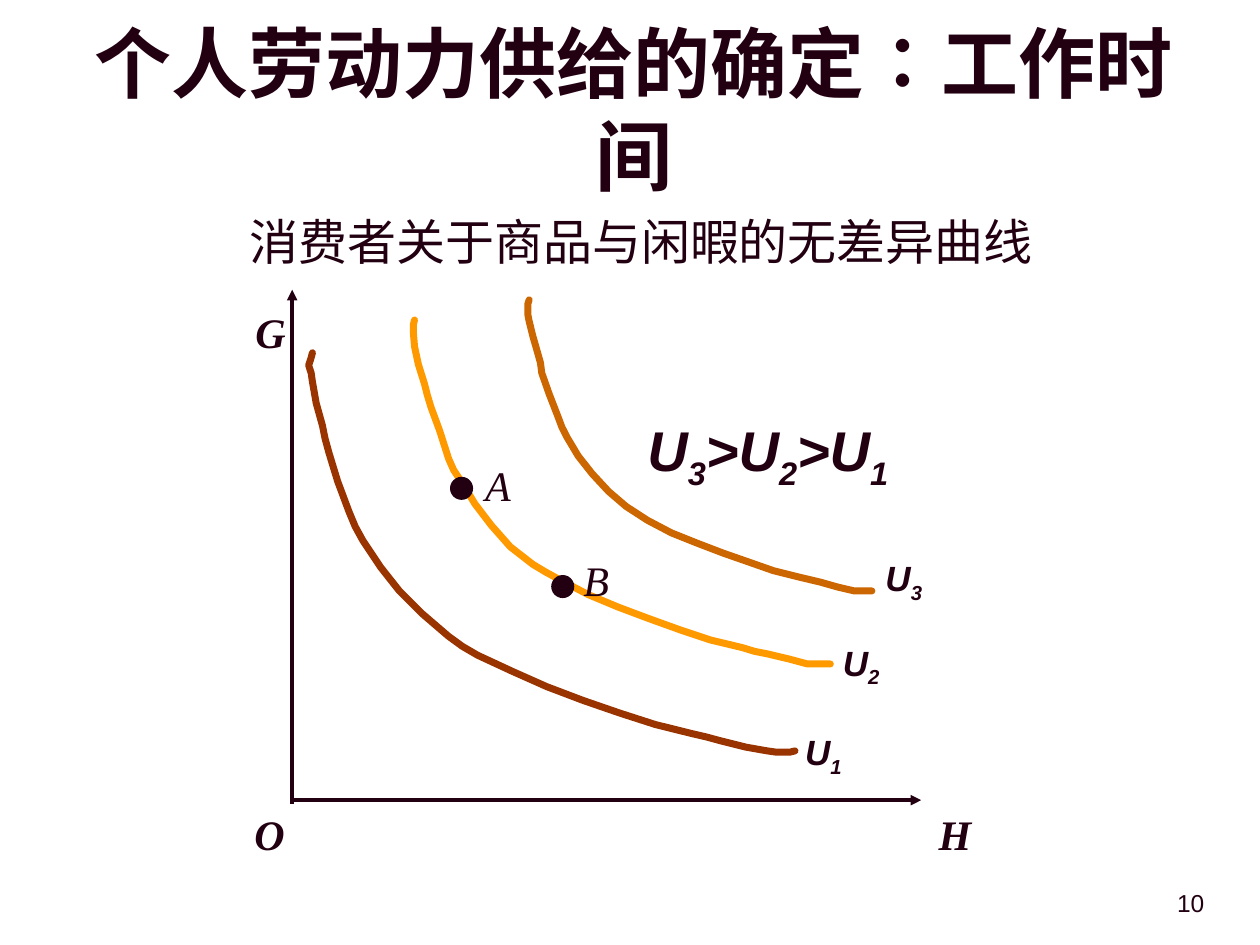
from dataclasses import dataclass

from lxml.etree import SubElement
from pptx import Presentation
from pptx.dml.color import RGBColor
from pptx.enum.shapes import MSO_CONNECTOR as Link, MSO_SHAPE as Shape
from pptx.enum.text import MSO_ANCHOR as Anchor, MSO_AUTO_SIZE as Fit, PP_ALIGN as Align
from pptx.oxml.ns import qn
from pptx.util import Cm, Pt


@dataclass(frozen=True)
class Theme:
    ink: str = "220011"
    paper: str = "FFFFFF"
    low: str = "993300"
    mid: str = "FF9900"
    high: str = "CC6600"
    sans: str = "Arial"
    serif: str = "Times New Roman"
    han: str = "Noto Sans CJK SC"
    head: int = 44
    order: int = 32
    note: int = 28
    axis: int = 24
    curve: int = 20
    page: int = 14


THEME = Theme()
UNIT = Cm(0.0254)  # one step of the curve grid

# Curve points on the grid, from top left to bottom right
LOW = [(248, 280), (247, 284), (245, 290), (247, 296), (248, 303), (251, 320),
       (256, 338), (258, 348), (261, 359), (268, 382), (277, 406), (282, 418),
       (288, 429), (302, 450), (317, 469), (335, 487), (356, 505), (367, 513),
       (379, 520), (407, 533), (434, 545), (463, 556), (492, 566), (520, 575),
       (548, 582), (561, 585), (572, 588), (592, 593), (609, 596), (616, 597),
       (622, 597), (627, 597), (631, 596)]
MID = [(329, 254), (328, 258), (328, 263), (329, 275), (332, 289), (337, 305),
       (339, 313), (342, 323), (349, 342), (356, 364), (360, 373), (366, 382),
       (377, 400), (390, 417), (405, 434), (423, 448), (433, 454), (444, 460),
       (467, 472), (491, 482), (515, 491), (540, 500), (564, 508), (589, 514),
       (599, 517), (609, 519), (626, 523), (641, 527), (647, 527), (653, 527),
       (659, 527)]
HIGH = [(420, 238), (419, 241), (419, 245), (419, 250), (420, 255), (423, 267),
        (427, 281), (429, 288), (430, 296), (436, 313), (443, 331), (446, 339),
        (450, 347), (459, 362), (470, 376), (483, 390), (497, 402), (514, 413),
        (533, 423), (553, 431), (574, 439), (594, 446), (614, 453), (634, 458),
        (651, 462), (665, 466), (678, 469), (687, 469), (690, 469), (692, 469)]


def rgb(code):
    return RGBColor.from_string(code)


def place(shape, box):
    shape.left, shape.top, shape.width, shape.height = map(Cm, box)


def write(shape, runs, size, face, bold=False, slant=False, align=Align.LEFT, wrap=True):
    """Fill a shape with one paragraph; runs that are digits alone become subscripts."""
    frame = shape.text_frame
    frame.word_wrap = wrap
    frame.auto_size = Fit.NONE
    para = frame.paragraphs[0]
    para.alignment = align
    para.space_before = Pt(0)
    for text in runs:
        run = para.add_run()
        run.text = text
        font = run.font
        font.name, font.size = face, Pt(size)
        font.bold, font.italic = bold, slant
        font.color.rgb = rgb(THEME.ink)
        props = run._r.get_or_add_rPr()
        if face == THEME.han:
            SubElement(props, qn("a:ea"), typeface=face)
        if len(runs) > 1 and text.isdigit():
            props.set("baseline", "-25000")
    return para


def fill_holder(holder, box, text, size, bold=False):
    place(holder, box)
    holder.text_frame.vertical_anchor = Anchor.MIDDLE
    write(holder, [text], size, THEME.han, bold, align=Align.CENTER)


def add_text(shapes, box, runs, size, face, **style):
    label = shapes.add_textbox(*map(Cm, box))
    return label, write(label, runs, size, face, **style)


def add_axis(shapes, start, end):
    axis = shapes.add_connector(Link.STRAIGHT, *map(Cm, start + end))
    axis.line.color.rgb = rgb(THEME.ink)
    axis.line.width = Pt(2)
    SubElement(axis.line._get_or_add_ln(), qn("a:tailEnd"), type="triangle")
    SubElement(axis._element.spPr, qn("a:effectLst"))


def add_curve(shapes, points, color):
    path = shapes.build_freeform(*points[0], scale=UNIT)
    path.add_line_segments(points[1:], close=False)
    curve = path.convert_to_shape()
    curve.shadow.inherit = False
    curve.fill.background()
    curve.line.color.rgb = rgb(color)
    curve.line.width = Pt(4)
    line = curve.line._get_or_add_ln()
    line.set("cap", "rnd")
    SubElement(line, qn("a:round"))


def add_dot(shapes, left, top):
    dot = shapes.add_shape(Shape.OVAL, *map(Cm, (left, top, 0.43, 0.43)))
    dot.shadow.inherit = False
    dot.fill.solid()
    dot.fill.fore_color.rgb = dot.line.color.rgb = rgb(THEME.ink)
    dot.line.width = Pt(1)


def main():
    deck = Presentation()
    deck.slide_width, deck.slide_height = Cm(25.4), Cm(19.05)
    slide = deck.slides.add_slide(deck.slide_layouts[0])
    shapes = slide.shapes

    fill_holder(shapes.title, (1.35, 0.81, 22.86, 2.74),
                "个人劳动力供给的确定∶工作时间", THEME.head, bold=True)
    fill_holder(slide.placeholders[1], (1.57, 4.14, 22.71, 1.42),
                "消费者关于商品与闲暇的无差异曲线", THEME.note)

    add_axis(shapes, (5.89, 16.2), (5.89, 5.84))
    add_axis(shapes, (5.89, 16.13), (18.57, 16.13))
    for name, left, top in (("G", 4.9, 6.05), ("H", 18.67, 16.18), ("O", 4.88, 16.18)):
        add_text(shapes, (left, top, 1.27, 1.27), [name], THEME.axis, THEME.serif,
                 bold=True, slant=True)

    order, _ = add_text(shapes, (12.8, 8.26, 5.36, 1.78),
                        ["U", "3", ">U", "2", ">U", "1"], THEME.order, THEME.sans,
                        bold=True, slant=True, wrap=False)
    order.fill.solid()
    order.fill.fore_color.rgb = rgb(THEME.paper)

    for rank, points, color, left, top in (("1", LOW, THEME.low, 15.98, 14.61),
                                           ("2", MID, THEME.mid, 16.74, 12.8),
                                           ("3", HIGH, THEME.high, 17.6, 11.1)):
        add_curve(shapes, points, color)
        add_text(shapes, (left, top, 1.24, 1.22), ["U", rank], THEME.curve, THEME.sans,
                 bold=True, slant=True, wrap=False)

    for name, left, top, x, y in (("A", 9.09, 9.63, 9.53, 8.94),
                                  ("B", 11.13, 11.61, 11.51, 10.85)):
        add_dot(shapes, left, top)
        _, para = add_text(shapes, (x, y, 1.02, 1.47), [name], THEME.axis, THEME.serif,
                           slant=True, wrap=False)
        para.line_spacing = 1.2

    add_text(shapes, (19.25, 17.78, 5.28, 1.27), ["10"], THEME.page, THEME.sans,
             align=Align.RIGHT)
    deck.save("out.pptx")


if __name__ == "__main__":
    main()
